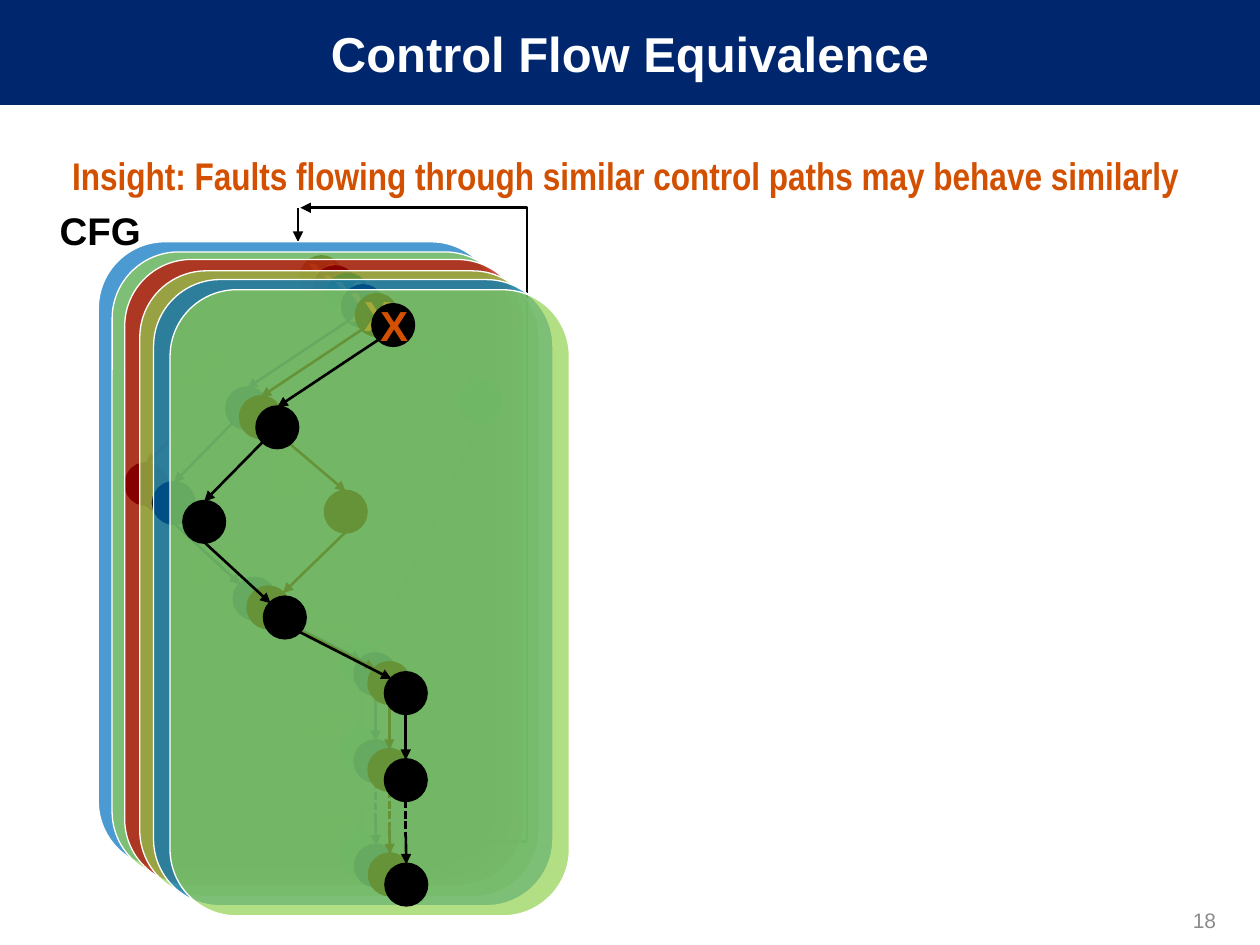
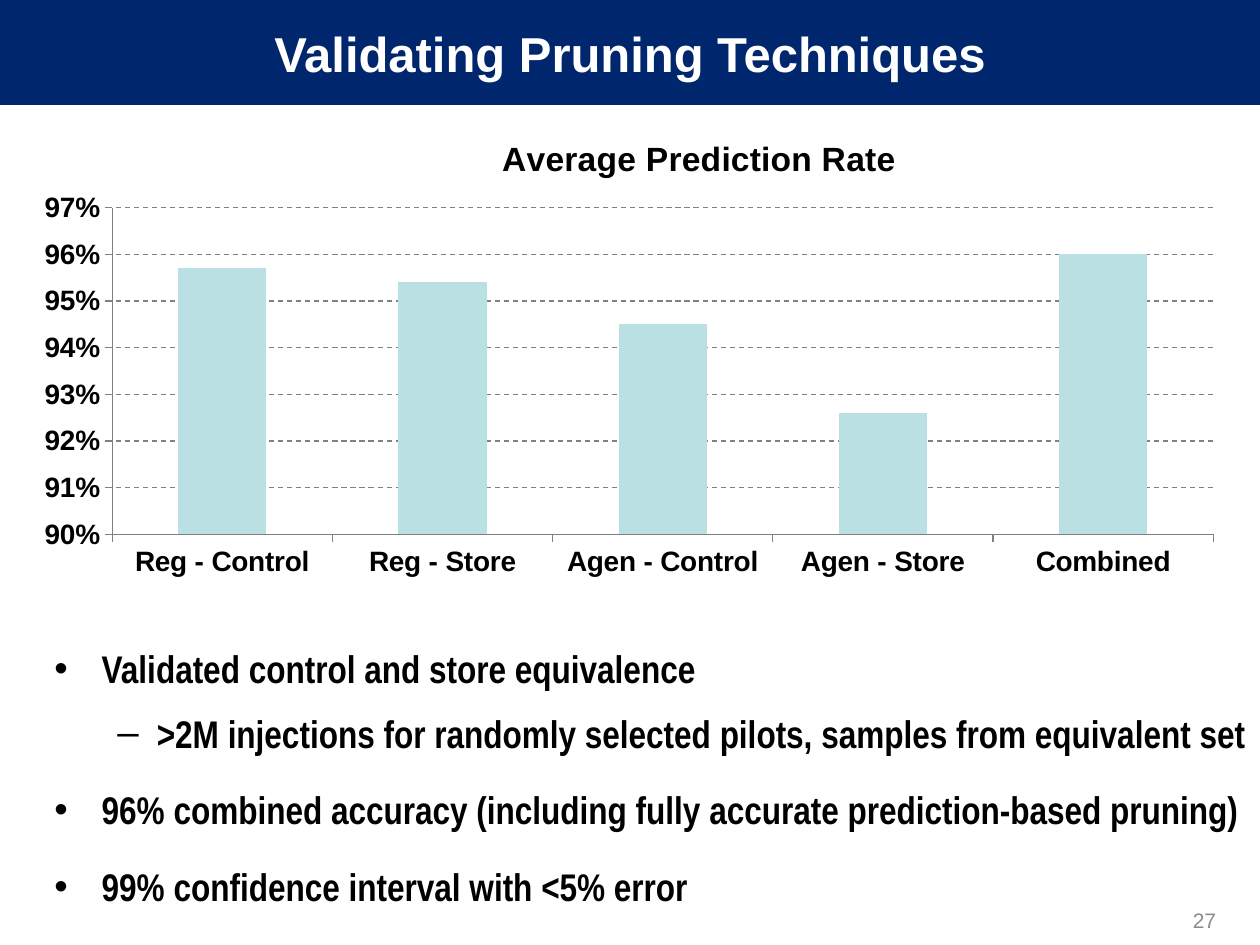
import pptx
import pptx.util
import pptx.chart.data
import pptx.dml.color
import pptx.enum.chart
import pptx.enum.dml
import pptx.enum.shapes
import pptx.enum.text
import pptx.oxml
import pptx.oxml.ns
import lxml.etree

Pt = pptx.util.Pt
RGB = pptx.dml.color.RGBColor
qn = pptx.oxml.ns.qn
SHAPE = pptx.enum.shapes.MSO_SHAPE
LINK = pptx.enum.shapes.MSO_CONNECTOR
ALIGN = pptx.enum.text.PP_ALIGN
MIDDLE = pptx.enum.text.MSO_ANCHOR.MIDDLE
DASH = pptx.enum.dml.MSO_LINE

# Colours and fonts
NAVY = RGB(0x00, 0x26, 0x6E)
WHITE = RGB(0xFF, 0xFF, 0xFF)
BLACK = RGB(0, 0, 0)
RUST = RGB(0xD2, 0x50, 0x00)
GREY = RGB(0x8C, 0x8C, 0x8C)
RULE = RGB(0x80, 0x80, 0x80)
BLUE = RGB(0x00, 0x70, 0xC0)
GREEN = RGB(0x92, 0xD0, 0x50)
RED = RGB(0xC0, 0x00, 0x00)
TEAL = RGB(0xBB, 0xE0, 0xE3)
SANS, SLIM = "Arial", "Arial Narrow"

WIDE, HIGH, BAND = 720, 540, 60

# Flow graph: node places within a card
SIZE = 23.2
NODES = {
    "top": (115.9, 8.6), "fork": (49.7, 67), "left": (7.9, 121),
    "right": (98.2, 121), "far": (191.5, 70), "join": (54, 175.7),
    "exit": (123.1, 218.9), "next": (123.1, 268.6), "last": (123.4, 328.3),
}
# Points on a node's rim, as shares of its size
RIM = {"n": (0.5, 0), "s": (0.5, 1), "nw": (0.15, 0.15),
       "ne": (0.85, 0.15), "sw": (0.15, 0.85), "se": (0.85, 0.85)}
FORK = [("top", "sw", "fork", "n")]
JOIN = [("join", "se", "exit", "nw")]
PATHS = {
    "left": FORK + [("fork", "sw", "left", "n"), ("left", "s", "join", "nw")] + JOIN,
    "right": FORK + [("fork", "se", "right", "n"), ("right", "s", "join", "ne")] + JOIN,
    "far": [("top", "se", "far", "n"), ("far", "s", "exit", "ne")],
}
BREAK = 312
CARDS = [
    (56.2, 138.2, BLUE, "right"), (64.1, 144, GREEN, "left"),
    (71.3, 148.3, RED, "far"), (79.9, 154.8, GREEN, "left"),
    (87.8, 159.8, BLUE, "right"), (97.2, 165.6, GREEN, "left"),
]


def pts(*nums):
    return [Pt(num) for num in nums]


def write(para, words, size=22, font=SANS, color=BLACK, bold=True,
          align=None, lead=None, space=None):
    run = para.add_run()
    run.text = words
    run.font.size, run.font.name, run.font.bold = Pt(size), font, bold
    run.font.color.rgb = color
    para.alignment = align
    para.line_spacing = lead
    if space is not None:
        para.space_before = Pt(space)


def label(shapes, box, words, wrap=True, anchor=None, **style):
    shape = shapes.add_textbox(*pts(*box))
    frame = shape.text_frame
    frame.word_wrap = wrap
    frame.vertical_anchor = anchor
    write(frame.paragraphs[0], words, **style)
    return shape


def solid(shapes, kind, box, fill, line=None, width=0.75, alpha=None):
    shape = shapes.add_shape(kind, *pts(*box))
    shape.shadow.inherit = False
    shape.fill.solid()
    shape.fill.fore_color.rgb = fill
    if line is None:
        shape.line.fill.background()
    else:
        shape.line.color.rgb = line
        shape.line.width = Pt(width)
    if alpha:
        tint = shape.element.spPr.find(".//" + qn("a:srgbClr"))
        lxml.etree.SubElement(tint, qn("a:alpha"), val=str(alpha * 1000))
    return shape


def arrow(shapes, start, end, kind=LINK.STRAIGHT, head=True, dash=None):
    wire = shapes.add_connector(kind, *pts(*start, *end))
    wire.line.color.rgb = BLACK
    wire.line.width = Pt(1.5)
    if dash:
        wire.line.dash_style = dash
    if head:
        stroke = wire.element.spPr.find(qn("a:ln"))
        lxml.etree.SubElement(stroke, qn("a:tailEnd"), type="triangle")
    lxml.etree.SubElement(wire.element.spPr, qn("a:effectLst"))
    return wire


def bullet(para, mark, left, hang):
    props = para._p.get_or_add_pPr()
    props.set("marL", str(Pt(left)))
    props.set("indent", str(Pt(-hang)))
    lxml.etree.SubElement(props, qn("a:buFont"), typeface=SANS)
    lxml.etree.SubElement(props, qn("a:buChar"), char=mark)


def place(parent, index, mode, **vals):
    """Set a manual layout on a chart part."""
    old = parent.find(qn("c:layout"))
    if old is not None:
        parent.remove(old)
    layout = parent.makeelement(qn("c:layout"))
    parent.insert(index, layout)
    spot = lxml.etree.SubElement(layout, qn("c:manualLayout"))
    if mode:
        lxml.etree.SubElement(spot, qn("c:layoutTarget"), val=mode)
    for key in ("xMode", "yMode"):
        lxml.etree.SubElement(spot, qn("c:" + key), val="edge")
    for key, val in vals.items():
        lxml.etree.SubElement(spot, qn("c:" + key), val=str(val))


def start(deck, words, page):
    """Make a slide with its title and page number."""
    slide = deck.slides.add_slide(deck.slide_layouts[5])
    title = slide.shapes.title
    title.left, title.top, title.width, title.height = pts(0, 0, WIDE, BAND)
    title.text_frame.vertical_anchor = MIDDLE
    write(title.text_frame.paragraphs[0], words, size=28, color=WHITE,
          align=ALIGN.CENTER)
    label(slide.shapes, (534, 511, 168, 29), page, anchor=MIDDLE, size=12,
          color=GREY, bold=False, align=ALIGN.RIGHT)
    return slide


def brand(slide):
    """Move the title band to the layout, so that all slides share it."""
    band = solid(slide.shapes, SHAPE.RECTANGLE, (0, 0, WIDE, BAND), NAVY)
    slide.slide_layout.shapes[0].element.addprevious(band.element)


def card(shapes, box, fill, path):
    """One graph, with the path that a fault takes through it."""
    left, top = box[:2]
    group = shapes.add_group_shape().shapes
    solid(group, SHAPE.ROUNDED_RECTANGLE, box, fill, WHITE, alpha=70)

    def point(node, side):
        x, y = NODES[node]
        dx, dy = RIM[side]
        return left + x + dx * SIZE, top + y + dy * SIZE

    edges = PATHS[path] + [("exit", "s", "next", "n")]
    used = {edge[0] for edge in edges} | {"next", "last"}
    for name in NODES:
        if name in used:
            x, y = NODES[name]
            solid(group, SHAPE.OVAL, (left + x, top + y, SIZE, SIZE),
                  BLACK, BLACK, 2)
    for node, side, goal, edge in edges:
        arrow(group, point(node, side), point(goal, edge))
    # Dashed gap before the last node
    low = point("next", "s")
    mid = (low[0], top + BREAK)
    arrow(group, low, mid, head=False, dash=DASH.SQUARE_DOT)
    arrow(group, mid, point("last", "n"))
    label(group, (left + 113, top + 2.2, 31, 36), "X", wrap=False,
          size=24, color=RUST)


def graph(shapes, box):
    """Stack of cards with entry arrow and loop."""
    left, top, width, height = box
    name = solid(shapes, SHAPE.RECTANGLE, (left - 32.4, top - 25.2, 67, 36.7), WHITE)
    frame = name.text_frame
    frame.word_wrap = False
    frame.margin_left = frame.margin_right = Pt(10)
    frame.margin_top = frame.margin_bottom = Pt(5)
    write(frame.paragraphs[0], "CFG", align=ALIGN.CENTER)
    entry = left + width / 2
    arrow(shapes, (entry, top - 19.4), (entry, top))
    loop = arrow(shapes, (entry + 18.7, top + 342.8), (entry + 1.4, top - 19.4),
                 kind=LINK.ELBOW)
    bend = loop.element.spPr.find(".//" + qn("a:avLst"))
    lxml.etree.SubElement(bend, qn("a:gd"), name="adj1", fmla="val -649400")
    for x, y, fill, path in CARDS:
        card(shapes, (x, y, width, height), fill, path)


def rates(shapes, box):
    """Column chart of the rates."""
    data = pptx.chart.data.CategoryChartData(number_format="0%")
    data.categories = ["Reg - Control", "Reg - Store", "Agen - Control",
                       "Agen - Store", "Combined"]
    data.add_series("Series 1", [0.957, 0.954, 0.945, 0.926, 0.96])
    kind = pptx.enum.chart.XL_CHART_TYPE.COLUMN_CLUSTERED
    chart = shapes.add_chart(kind, *pts(*box), data).chart
    chart.has_legend = False
    chart.font.name, chart.font.size, chart.font.bold = SANS, Pt(16), True
    chart.font.color.rgb = BLACK
    chart.has_title = True
    write(chart.chart_title.text_frame.paragraphs[0],
          "Average Prediction Rate", size=19.2)
    plot = chart.plots[0]
    plot.gap_width = 150
    plot.vary_by_categories = False
    fill = plot.series[0].format.fill
    fill.solid()
    fill.fore_color.rgb = TEAL
    # Axes
    axis = chart.value_axis
    axis.minimum_scale, axis.maximum_scale, axis.major_unit = 0.9, 0.97, 0.01
    axis.tick_labels.number_format = "0%"
    axis.tick_labels.number_format_is_linked = False
    axis.has_major_gridlines = True
    grid = axis.major_gridlines.format.line
    grid.dash_style = DASH.DASH
    for line in (grid, axis.format.line, chart.category_axis.format.line):
        line.color.rgb = RULE
        line.width = Pt(0.75)
    for side in (axis, chart.category_axis):
        side.major_tick_mark = pptx.enum.chart.XL_TICK_MARK.OUTSIDE
    # Places of title and plot
    root = chart.element
    place(root.find(".//" + qn("c:title")), 1, None, x=0.39, y=0.03)
    place(root.find(".//" + qn("c:plotArea")), 0, "inner",
          x=0.075, y=0.195, w=0.904, h=0.692)


def points(shapes, box, items):
    """Bulleted list; each item has a level and words."""
    frame = shapes.add_textbox(*pts(*box)).text_frame
    frame.word_wrap = True
    for num, (level, words) in enumerate(items):
        para = frame.add_paragraph() if num else frame.paragraphs[0]
        para.level = level
        write(para, words, font=SLIM, lead=1.2, space=5 if level else 12.2)
        if level:
            bullet(para, "\u2013", 58.5, 22.5)
        else:
            bullet(para, "\u2022", 27, 27)


deck = pptx.Presentation()
deck.slide_width, deck.slide_height = pts(WIDE, HIGH)

# Control flow slide
slide = start(deck, "Control Flow Equivalence", "18")
brand(slide)
label(slide.shapes, (0, 78, WIDE, 57),
      "Insight: Faults flowing through similar control paths may behave similarly ",
      font=SLIM, color=RUST, align=ALIGN.CENTER, lead=1.2, space=12.2)
graph(slide.shapes, (56.2, 138.2, 228.2, 357.8))

# Validation slide
slide = start(deck, "Validating Pruning Techniques", "27")
rates(slide.shapes, (12, 66, 696, 270))
points(slide.shapes, (24, 360, 702, 162), [
    (0, "Validated control and store equivalence"),
    (1, ">2M injections for randomly selected pilots, samples from equivalent set"),
    (0, "96% combined accuracy (including fully accurate prediction-based pruning)"),
    (0, "99% confidence interval with <5% error"),
])

deck.save("out.pptx")
